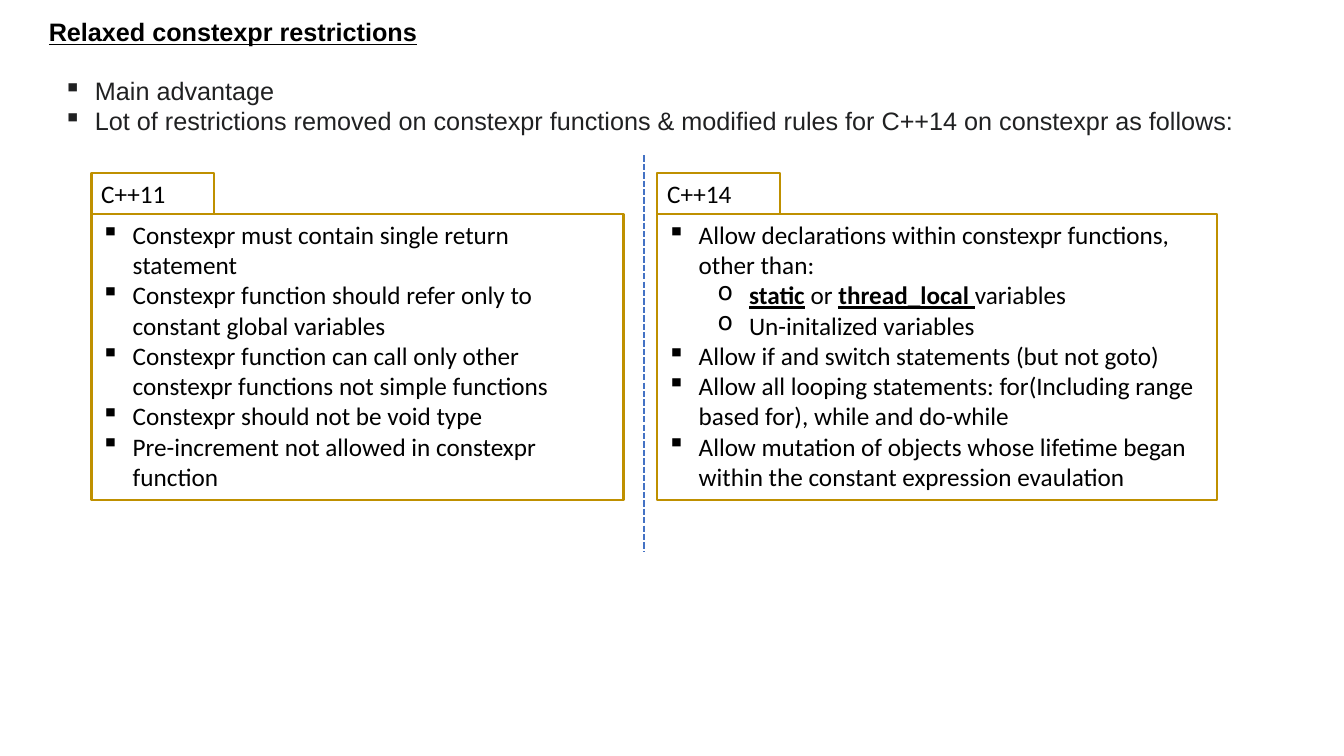
from dataclasses import dataclass

from lxml.etree import SubElement
from pptx import Presentation
from pptx.dml.color import RGBColor
from pptx.enum.dml import MSO_LINE
from pptx.enum.shapes import MSO_CONNECTOR, MSO_SHAPE
from pptx.enum.text import MSO_ANCHOR, PP_ALIGN
from pptx.oxml.ns import qn
from pptx.util import Pt

EMU_PER_PX = 9525


@dataclass(frozen=True)
class Theme:
    black: RGBColor = RGBColor.from_string("000000")
    intro: RGBColor = RGBColor.from_string("202122")
    frame: RGBColor = RGBColor.from_string("BF9000")
    divider: RGBColor = RGBColor.from_string("4472C4")
    heading_font: str = "Arial"
    body_font: str = "Calibri"
    size: Pt = Pt(18)
    frame_width: Pt = Pt(1.75)
    divider_width: Pt = Pt(1.5)


THEME = Theme()
INDENT = 30
SUB_INDENT = 78
TAB_W, TAB_H = 117, 39

INTRO = [
    "Main advantage",
    "Lot of restrictions removed on constexpr functions & modified rules "
    "for C++14 on constexpr as follows:",
]
CPP11_RULES = [
    "Constexpr must contain single return statement",
    "Constexpr function should refer only to constant global variables",
    "Constexpr function can call only other constexpr functions not simple functions",
    "Constexpr should not be void type",
    "Pre-increment not allowed in constexpr function",
]
# A nested list holds sub-items; a tuple holds runs as (text, emphasised).
CPP14_RULES = [
    "Allow declarations within constexpr functions, other than:",
    [
        (("static", True), (" or ", False), ("thread_local ", True), ("variables", False)),
        "Un-initalized variables",
    ],
    "Allow if and switch statements (but not goto)",
    "Allow all looping statements: for(Including range based for), while and do-while",
    "Allow mutation of objects whose lifetime began within the constant "
    "expression evaulation",
]


def px(n):
    return n * EMU_PER_PX


def add_run(p, text, font, color, emphasis=False):
    r = p.add_run()
    r.text = text
    r.font.name, r.font.size = font, THEME.size
    r.font.color.rgb = color
    r.font.bold = r.font.underline = emphasis


def next_paragraph(tf):
    """Return the first paragraph while it is empty, then new ones."""
    first = tf.paragraphs[0]
    p = tf.add_paragraph() if first.runs else first
    p.alignment = PP_ALIGN.LEFT
    return p


def add_bullets(tf, items, font, color, left=INDENT, mark="▪"):
    for item in items:
        if isinstance(item, list):
            add_bullets(tf, item, font, color, SUB_INDENT, "o")
            continue
        p = next_paragraph(tf)
        pPr = p._p.get_or_add_pPr()
        pPr.set("marL", str(px(left)))
        pPr.set("indent", str(-px(INDENT)))
        SubElement(pPr, qn("a:buChar")).set("char", mark)
        for text, emphasis in ((item, False),) if isinstance(item, str) else item:
            add_run(p, text, font, color, emphasis)


def add_text_area(slide, x, y, w, h):
    tf = slide.shapes.add_textbox(px(x), px(y), px(w), px(h)).text_frame
    tf.word_wrap = True
    return tf


def add_frame(slide, x, y, w, h):
    sp = slide.shapes.add_shape(MSO_SHAPE.RECTANGLE, px(x), px(y), px(w), px(h))
    sp.shadow.inherit = False
    sp.fill.background()
    sp.line.color.rgb = THEME.frame
    sp.line.width = THEME.frame_width
    tf = sp.text_frame
    tf.word_wrap = True
    tf.vertical_anchor = MSO_ANCHOR.TOP
    return tf


def add_title(slide, x, y, w, h):
    p = next_paragraph(add_text_area(slide, x, y, w, h))
    add_run(p, "Relaxed constexpr restrictions", THEME.heading_font, THEME.black, True)


def add_intro(slide, x, y, w, h):
    add_bullets(add_text_area(slide, x, y, w, h), INTRO, THEME.heading_font, THEME.intro)


def add_rules_panel(slide, x, y, w, h, label, rules):
    """Place a label tab with the framed rules directly beneath it."""
    body = add_frame(slide, x, y + TAB_H, w, h - TAB_H)
    add_bullets(body, rules, THEME.body_font, THEME.black)
    tab = add_frame(slide, x, y, TAB_W, TAB_H)
    add_run(next_paragraph(tab), label, THEME.body_font, THEME.black)


def add_divider(slide, x, y, h):
    line = slide.shapes.add_connector(
        MSO_CONNECTOR.STRAIGHT, px(x), px(y), px(x), px(y + h))
    line.line.color.rgb = THEME.divider
    line.line.width = THEME.divider_width
    line.line.dash_style = MSO_LINE.SQUARE_DOT
    SubElement(line._element.spPr, qn("a:effectLst"))


def main():
    prs = Presentation()
    prs.slide_width, prs.slide_height = px(1280), px(720)
    slide = prs.slides.add_slide(prs.slide_layouts[6])
    add_title(slide, 37, 11, 486, 38)
    add_intro(slide, 51, 67, 1210, 68)
    add_rules_panel(slide, 87, 165, 507, 311, "C++11", CPP11_RULES)
    add_rules_panel(slide, 626, 165, 533, 311, "C++14", CPP14_RULES)
    add_divider(slide, 613, 148, 377)
    prs.save("out.pptx")


if __name__ == "__main__":
    main()
